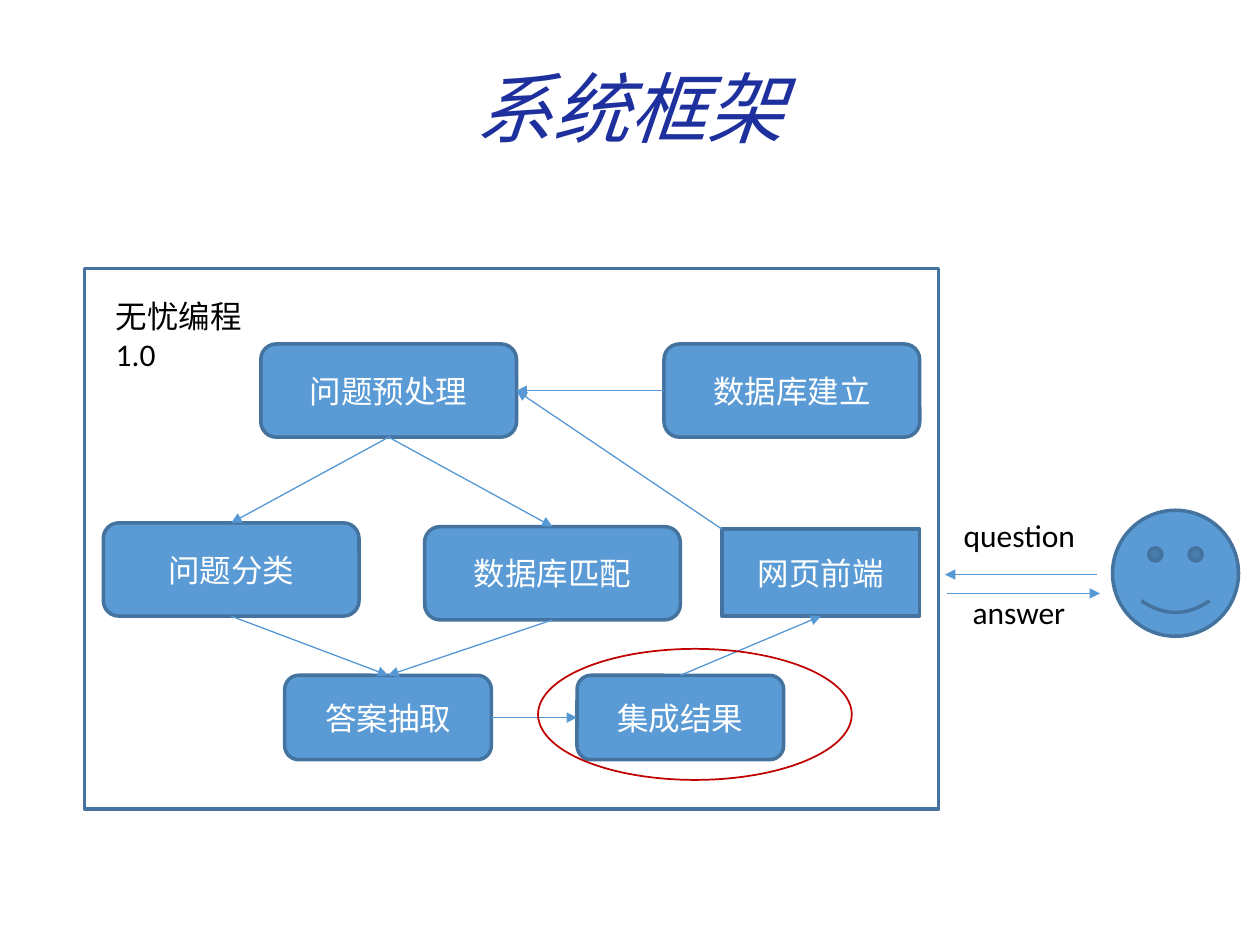
from lxml import etree
from pptx import Presentation
from pptx.dml.color import RGBColor
from pptx.enum.shapes import MSO_CONNECTOR, MSO_SHAPE
from pptx.enum.text import MSO_ANCHOR, PP_ALIGN
from pptx.oxml.ns import qn
from pptx.util import Inches, Pt

LINE = MSO_CONNECTOR.STRAIGHT
RECT = MSO_SHAPE.RECTANGLE
ROUND = MSO_SHAPE.ROUNDED_RECTANGLE
OVAL = MSO_SHAPE.OVAL
SMILE = MSO_SHAPE.SMILEY_FACE
MID, TOP = MSO_ANCHOR.MIDDLE, MSO_ANCHOR.TOP
LEFT, CENTER = PP_ALIGN.LEFT, PP_ALIGN.CENTER
NORTH, WEST, SOUTH, EAST = range(4)
FONT = "Calibri"
COLORS = {"title": "1E309D", "fill": "5B9BD5", "edge": "43739E",
          "arrow": "5698D3", "ring": "C00000", "white": "FFFFFF",
          "black": "000000"}

NODES = {
    "问题预处理": (1.4, 0.6, 2.03, 0.74, ROUND),
    "数据库建立": (4.6, 0.6, 2.03, 0.74, ROUND),
    "问题分类": (0.15, 2.02, 2.03, 0.74, ROUND),
    "数据库匹配": (2.7, 2.05, 2.03, 0.74, ROUND),
    "网页前端": (5.06, 2.07, 1.57, 0.69, RECT),
    "答案抽取": (1.59, 3.23, 1.64, 0.67, ROUND),
    "集成结果": (3.91, 3.23, 1.64, 0.67, ROUND),
}
LINKS = [
    ("问题预处理", SOUTH, "问题分类", NORTH),
    ("问题预处理", SOUTH, "数据库匹配", NORTH),
    ("数据库建立", WEST, "问题预处理", EAST),
    ("数据库匹配", SOUTH, "答案抽取", NORTH),
    ("问题分类", SOUTH, "答案抽取", NORTH),
    ("答案抽取", EAST, "集成结果", WEST),
    ("集成结果", NORTH, "网页前端", SOUTH),
]


def color(name):
    return RGBColor.from_string(COLORS[name])


def write(frame, text, size=18, tint="black", align=LEFT, anchor=TOP,
          italic=False, wrap=True, space=1.0):
    frame.word_wrap = wrap
    frame.vertical_anchor = anchor
    para = frame.paragraphs[0]
    para.alignment = align
    para.line_spacing = space
    run = para.add_run()
    run.text = text
    font = run.font
    font.name, font.size, font.italic = FONT, Pt(size), italic
    font.color.rgb = color(tint)


def label(slide, text, x, y, w, h, **style):
    box = slide.shapes.add_textbox(Inches(x), Inches(y), Inches(w), Inches(h))
    write(box.text_frame, text, **style)


def shape(slide, kind, x, y, w, h, fill="fill", edge="edge", width=2):
    item = slide.shapes.add_shape(
        kind, Inches(x), Inches(y), Inches(w), Inches(h))
    item.shadow.inherit = False
    if fill:
        item.fill.solid()
        item.fill.fore_color.rgb = color(fill)
    else:
        item.fill.background()
    item.line.color.rgb = color(edge)
    item.line.width = Pt(width)
    return item


def arrow(slide, x1=0, y1=0, x2=0, y2=0):
    item = slide.shapes.add_connector(
        LINE, Inches(x1), Inches(y1), Inches(x2), Inches(y2))
    item.line.color.rgb = color("arrow")
    item.line.width = Pt(0.75)
    props = item.line._get_or_add_ln()
    etree.SubElement(props, qn("a:tailEnd"), type="triangle")
    etree.SubElement(item._element.spPr, qn("a:effectLst"))
    return item


def title(slide, x, y, w, h):
    label(slide, "系统框架", x, y, w, h, size=44, tint="title", align=CENTER,
          anchor=MID, italic=True, space=0.9)


def system(slide, x, y, w, h):
    shape(slide, RECT, x, y, w, h, fill=None)
    nodes = {}
    for text, (dx, dy, wide, high, kind) in NODES.items():
        node = shape(slide, kind, x + dx, y + dy, wide, high)
        write(node.text_frame, text, tint="white", align=CENTER, anchor=MID)
        nodes[text] = node
    for start, out, end, into in LINKS:
        link = arrow(slide)
        link.begin_connect(nodes[start], out)
        link.end_connect(nodes[end], into)
    dx, dy = NODES["网页前端"][:2]
    back = arrow(slide, x + dx, y + dy)
    back.end_connect(nodes["问题预处理"], EAST)
    label(slide, "无忧编程 1.0", x + 0.15, y + 0.18, 1.5, 0.7)
    shape(slide, OVAL, x + 3.6, y + 3.02, 2.49, 1.04,
          fill=None, edge="ring", width=1)


def user(slide, x, y, w, h):
    shape(slide, SMILE, x + w - h, y, h, h)
    arrow(slide, x + 1.21, y + 0.51, x, y + 0.51)
    arrow(slide, x + 0.02, y + 0.66, x + 1.23, y + 0.66)
    label(slide, "question", x + 0.05, y, 1.1, 0.4, wrap=False)
    label(slide, "answer", x + 0.12, y + 0.61, 0.95, 0.4, wrap=False)


def main():
    deck = Presentation()
    deck.slide_width, deck.slide_height = Inches(10), Inches(7.5)
    slide = deck.slides.add_slide(deck.slide_layouts[6])
    title(slide, 0.69, 0.4, 8.62, 0.99)
    system(slide, 0.67, 2.13, 6.78, 4.29)
    user(slide, 7.5, 4.05, 2.33, 1)
    deck.save("out.pptx")


if __name__ == "__main__":
    main()
